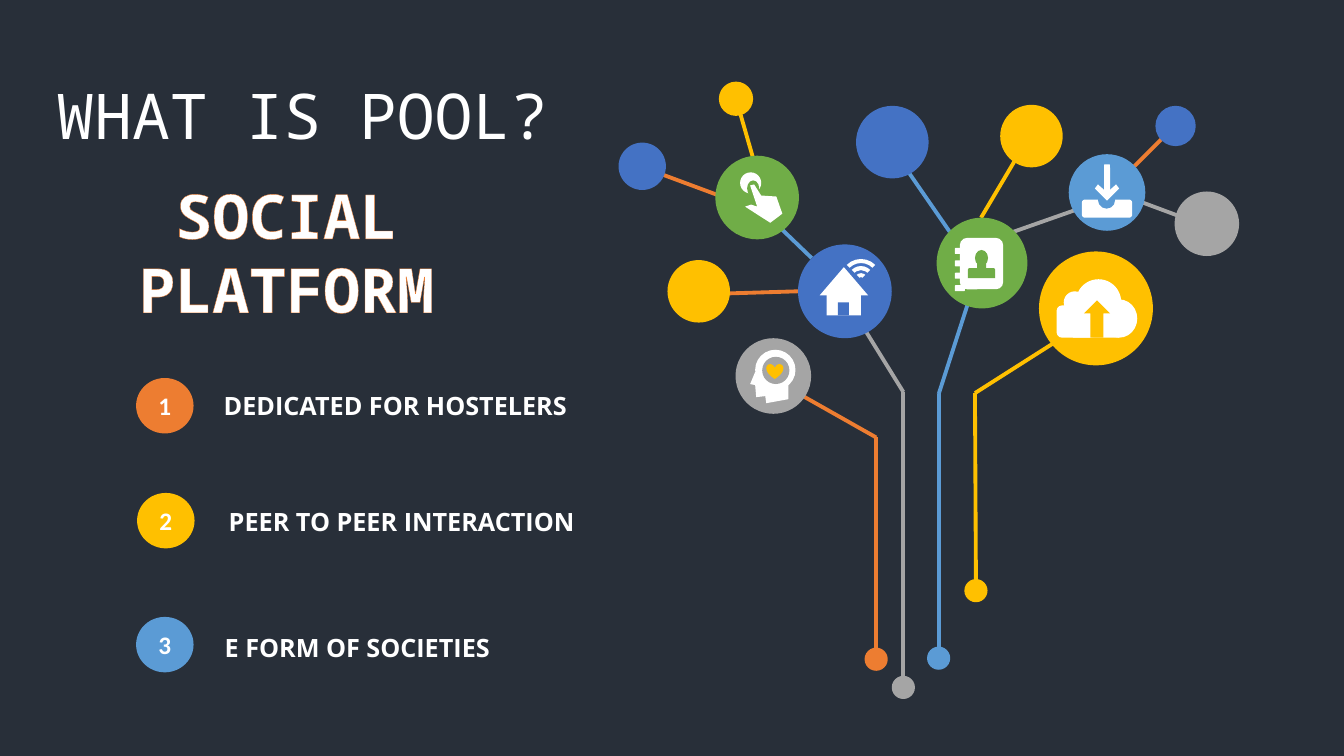
from itertools import pairwise
from lxml import etree
from pptx import Presentation
from pptx.dml.color import RGBColor
from pptx.enum.shapes import MSO_CONNECTOR, MSO_SHAPE
from pptx.enum.text import MSO_ANCHOR, MSO_AUTO_SIZE, PP_ALIGN
from pptx.oxml.ns import qn
from pptx.util import Pt

PX = 9144  # EMU per px, 100 px to the inch
OVAL, RECT, ROUND = MSO_SHAPE.OVAL, MSO_SHAPE.RECTANGLE, MSO_SHAPE.ROUNDED_RECTANGLE
TRIANGLE, HEART, ARC = MSO_SHAPE.ISOSCELES_TRIANGLE, MSO_SHAPE.HEART, MSO_SHAPE.BLOCK_ARC
UP_ARROW, SHOULDERS = MSO_SHAPE.UP_ARROW, MSO_SHAPE.ROUND_2_SAME_RECTANGLE
STRAIGHT = MSO_CONNECTOR.STRAIGHT
LEFT, CENTER, JUSTIFY = PP_ALIGN.LEFT, PP_ALIGN.CENTER, PP_ALIGN.JUSTIFY
TOP, MIDDLE = MSO_ANCHOR.TOP, MSO_ANCHOR.MIDDLE
DARK, WHITE, ORANGE, YELLOW = "282F39", "FFFFFF", "ED7D31", "FFC000"
GREY, SKY, BLUE, GREEN = "A5A5A5", "5B9BD5", "4472C4", "70AD47"

# Text: boxes are left, top, width, height
TITLE = ("WHAT IS POOL?", (46, 71, 553, 86))
SUBTITLE = ("SOCIAL PLATFORM", (27, 171, 514, 158))
ITEMS = [
    ("DEDICATED FOR HOSTELERS", (212, 382, 364, 40), (135, 375), ORANGE),
    ("PEER TO PEER INTERACTION", (217, 497, 382, 40), (136, 489), YELLOW),
    ("E FORM OF SOCIETIES", (213, 622, 290, 40), (135, 612), SKY),
]
BADGE_SIZE = (57, 55)

# Tree: stems start at a foot, twigs join two nodes
STEMS = [
    (ORANGE, [(869, 654), (869, 434), (770, 378)]),
    (GREY, [(896, 682), (896, 389), (841, 300)]),
    (SKY, [(931, 653), (931, 391), (971, 267)]),
    (YELLOW, [(968, 586), (967, 390), (1088, 313)]),
]
TWIGS = [
    (GREY, [(1112, 193), (1198, 225)]),
    (ORANGE, [(1125, 165), (1165, 125)]),
    (SKY, [(805, 256), (751, 204)]),
    (GREY, [(1005, 230), (1096, 198)]),
    (SKY, [(942, 230), (884, 146)]),
    (YELLOW, [(973, 216), (1018, 140)]),
    (ORANGE, [(792, 289), (693, 292)]),
    (ORANGE, [(724, 198), (635, 165)]),
    (YELLOW, [(730, 98), (751, 171)]),
]
FOOT = 23
# Nodes: centre and diameter
NODES = [
    (BLUE, (885, 141), 72), (BLUE, (1166, 125), 40), (GREY, (1197, 222), 64),
    (YELLOW, (730, 98), 34), (YELLOW, (693, 289), 62), (BLUE, (637, 165), 47),
    (YELLOW, (1023, 135), 62),
]

# Icons: each part is a preset with its box, or None with corner points
TABS = [(ROUND, (947, 246 + 12.3 * i, 10, 6), WHITE) for i in range(4)]
ADDRESS_BOOK = TABS + [
    (ROUND, (952, 236, 43, 51), WHITE),
    (OVAL, (967, 248, 13, 16), GREEN),
    (RECT, (969, 260, 9, 8), GREEN),
    (SHOULDERS, (960, 266, 27, 10), GREEN),
]
CLOUD = [
    (ROUND, (1048, 303, 40, 32), WHITE), (OVAL, (1092, 297, 36, 38), WHITE),
    (OVAL, (1067, 277, 45, 45), WHITE), (OVAL, (1055, 289, 22, 22), WHITE),
    (RECT, (1064, 305, 46, 30), WHITE), (UP_ARROW, (1075, 298, 26, 37), YELLOW),
]
HOUSE = [
    (TRIANGLE, (813, 265, 48, 28), WHITE),
    (RECT, (820, 290, 34, 23), WHITE),
    (RECT, (831, 300, 11, 13), BLUE),
] + [(ARC, (854 - r, 277 - r, 2 * r, 2 * r), WHITE) for r in (20, 13, 6)]
HEAD = [
    (OVAL, (749, 347, 40, 40), WHITE),
    (None, [(749, 369), (744, 381), (749, 382), (750, 394), (759, 393),
            (760, 400), (782, 396), (782, 380)], WHITE),
    (OVAL, (756, 354, 27, 27), GREY),
    (HEART, (760, 361, 17, 15), YELLOW),
]
DOWNLOAD = [
    (ROUND, (1073, 198, 50, 18), WHITE),
    (OVAL, (1089, 190, 17, 17), SKY),
    (ROUND, (1095, 163, 6, 32), WHITE),
    (None, [(1086, 187), (1089, 183), (1098, 191), (1107, 183), (1110, 187),
            (1098, 199)], WHITE),
]
TOUCH = [
    (OVAL, (734, 171, 21, 21), WHITE),
    (OVAL, (741, 179, 12, 16), GREEN),
    (None, [(744, 184), (748, 183), (755, 194), (770, 195), (776, 212), (764, 221),
            (753, 214), (739, 205), (745, 203), (751, 205)], WHITE),
]
ICON_NODES = [
    (GREEN, (974, 261), 90, ADDRESS_BOOK), (YELLOW, (1087, 306), 113, CLOUD),
    (BLUE, (838, 289), 93, HOUSE), (GREY, (767, 373), 75, HEAD),
    (SKY, (1098, 191), 76, DOWNLOAD), (GREEN, (751, 196), 83, TOUCH),
]


def rgb(value):
    return RGBColor.from_string(value)


def emu(values):
    return [round(v * PX) for v in values]


def add_part(shapes, kind, geometry, color):
    if kind is None:
        start, *corners = map(emu, geometry)
        builder = shapes.build_freeform(*start, scale=1.0)
        builder.add_line_segments(corners, close=True)
        shape = builder.convert_to_shape()
    else:
        shape = shapes.add_shape(kind, *emu(geometry))
    if kind == ARC:  # quarter ring facing up, 4 px thick
        for i, value in enumerate((135, 189, min(0.5, 4 / geometry[2]))):
            shape.adjustments[i] = value
    shape.shadow.inherit = False
    shape.fill.solid()
    shape.fill.fore_color.rgb = rgb(color)
    shape.line.fill.background()
    return shape


def add_node(shapes, color, center, size):
    x, y = center
    return add_part(shapes, OVAL, (x - size / 2, y - size / 2, size, size), color)


def write(shape, text, align, anchor, **font):
    tf = shape.text_frame
    tf.word_wrap, tf.vertical_anchor, tf.auto_size = True, anchor, MSO_AUTO_SIZE.NONE
    p = tf.paragraphs[0]
    p.alignment = align
    r = p.add_run()
    r.text = text
    r.font.color.rgb = rgb(WHITE)
    for name, value in font.items():
        setattr(r.font, name, value)
    return r


prs = Presentation()
prs.slide_width, prs.slide_height = emu((1333, 750))
s = prs.slides.add_slide(prs.slide_layouts[5])
s.background.fill.solid()
s.background.fill.fore_color.rgb = rgb(DARK)

# Title
title = s.shapes.title
title.left, title.top, title.width, title.height = emu(TITLE[1])
write(title, TITLE[0], LEFT, TOP, size=Pt(45), name="Noto Sans Mono", bold=False)

# Tree: branches, feet, plain nodes, then icon nodes
for color, points in STEMS + TWIGS:
    for start, end in pairwise(points):
        line = s.shapes.add_connector(STRAIGHT, *emu(start + end))
        line.line.color.rgb = rgb(color)
        line.line.width = Pt(2.75)
        etree.SubElement(line._element.spPr, qn("a:effectLst"))
for color, points in STEMS:
    add_node(s.shapes, color, points[0], FOOT)
for node in NODES:
    add_node(s.shapes, *node)
for color, center, size, parts in ICON_NODES:
    group = s.shapes.add_group_shape()
    add_node(group.shapes, color, center, size)
    for part in parts:
        add_part(group.shapes, *part)

# Numbered items
for number, (text, box, corner, color) in enumerate(ITEMS, 1):
    write(s.shapes.add_textbox(*emu(box)), text, JUSTIFY, TOP,
          size=Pt(18), name="Open Sans", bold=True)
    badge = add_part(s.shapes, OVAL, corner + BADGE_SIZE, color)
    write(badge, str(number), CENTER, MIDDLE, size=Pt(18), name="Calibri", bold=True)

# Subtitle with outlined letters
r = write(s.shapes.add_textbox(*emu(SUBTITLE[1])), SUBTITLE[0], CENTER, TOP,
          size=Pt(44), name="Noto Sans Mono", bold=True)
ln = etree.Element(qn("a:ln"), w=str(int(Pt(0.52))))
fill = etree.SubElement(ln, qn("a:solidFill"))
etree.SubElement(fill, qn("a:srgbClr"), val=ORANGE)
r._r.get_or_add_rPr().insert(0, ln)

prs.save("out.pptx")
